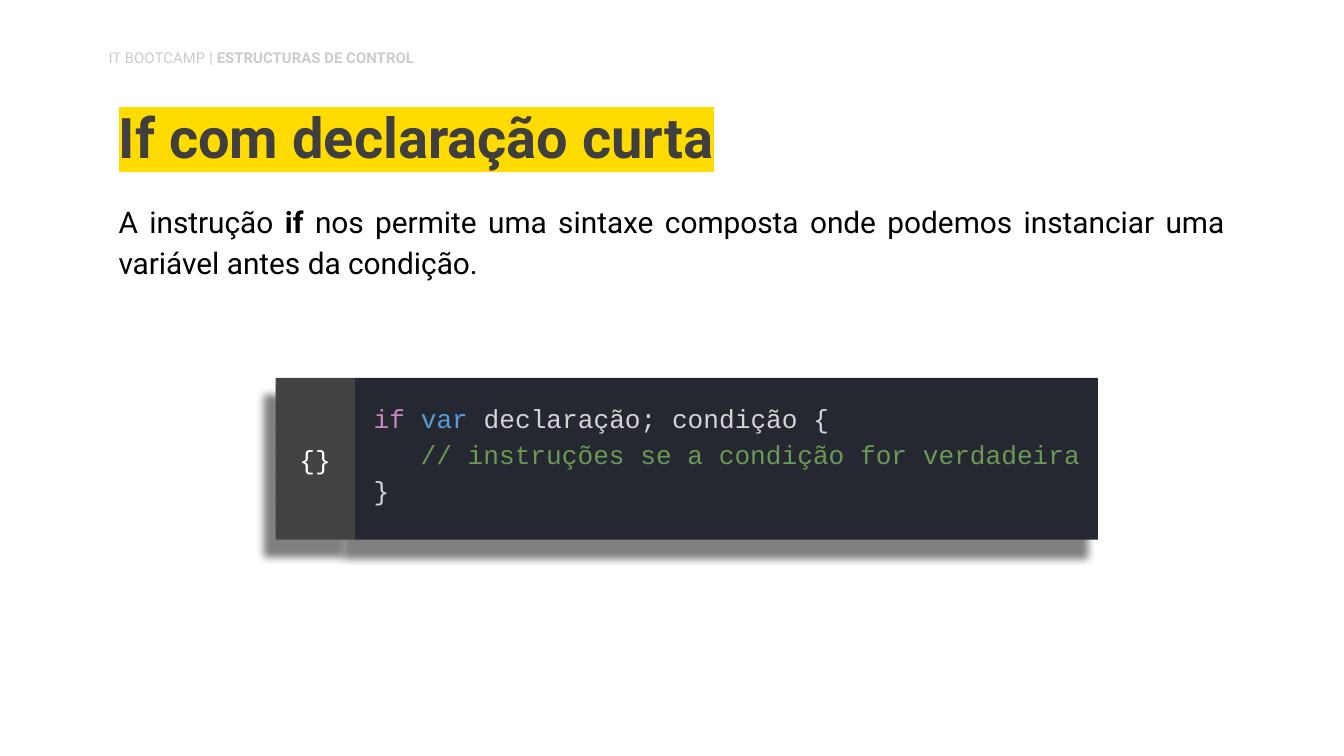
from lxml import etree
from pptx import Presentation, util as u
from pptx.dml.color import RGBColor
from pptx.enum import shapes, text
from pptx.oxml.ns import qn

WIDTH = u.Inches(10)
HEIGHT = WIDTH * 9 // 16
LEFT = 0.0784  # text margin and width, as shares of the slide's width
SPAN = 0.843


def color(value):
    return RGBColor.from_string(value)


def write(box, paras, font, size, *, insets=(0.1, 0.1, 0.1, 0.1), anchor="TOP",
          align="LEFT", spacing=1.0, after=0, highlight=None):
    """Fill a box; each paragraph is a list of (text, colour, bold) spans."""
    frame = box.text_frame
    frame.word_wrap = True
    frame.auto_size = text.MSO_AUTO_SIZE.NONE
    frame.vertical_anchor = text.MSO_ANCHOR[anchor]
    (frame.margin_left, frame.margin_top,
     frame.margin_right, frame.margin_bottom) = map(u.Inches, insets)
    for number, spans in enumerate(paras):
        para = frame.add_paragraph() if number else frame.paragraphs[0]
        para.alignment = text.PP_ALIGN[align]
        para.line_spacing = spacing
        para.space_before, para.space_after = u.Pt(0), u.Pt(after)
        for words, ink, bold in spans:
            span = para.add_run()
            span.text = words
            span.font.name, span.font.size, span.font.bold = font, u.Pt(size), bold
            span.font.color.rgb = color(ink)
            if highlight:
                mark = etree.Element(qn("a:highlight"))
                etree.SubElement(mark, qn("a:srgbClr"), val=highlight)
                span.font._element.find(qn("a:solidFill")).addnext(mark)


deck = Presentation()
deck.slide_width, deck.slide_height = WIDTH, HEIGHT
page = deck.slides.add_slide(deck.slide_layouts[5])

# Explanation
body = page.shapes.add_textbox(
    int(LEFT * WIDTH), int(0.244 * HEIGHT), int(SPAN * WIDTH), int(0.214 * HEIGHT))
write(body, [[
    ("A instrução ", "000000", False),
    ("if ", "000000", True),
    ("nos permite uma sintaxe composta onde podemos instanciar uma "
     "variável antes da condição.", "000000", False),
]], "Roboto", 16, align="JUSTIFY", spacing=1.15, highlight="FFFFFF")

# Title
title = page.shapes.title
title.left, title.top = int(LEFT * WIDTH), int(0.121 * HEIGHT)
title.width, title.height = int(SPAN * WIDTH), int(0.123 * HEIGHT)
write(title, [[("If com declaração curta", "3F3F3F", True)]], "Roboto", 30,
      anchor="BOTTOM", spacing=0.9, highlight="FFDB00")

# Code block: listing and icon panel side by side, each with a shadow
block = page.shapes.add_group_shape()
panels = []
for left, width, fill in ((0.264, 0.553, "262831"), (0.205, 0.059, "434343")):
    panel = block.shapes.add_shape(
        shapes.MSO_SHAPE.RECTANGLE, int(left * WIDTH), int(0.5 * HEIGHT),
        int(width * WIDTH), int(0.214 * HEIGHT))
    panel.fill.solid()
    panel.fill.fore_color.rgb = color(fill)
    panel.line.fill.background()
    panel.shadow.inherit = False
    shadow = etree.SubElement(
        panel._element.spPr.find(qn("a:effectLst")), qn("a:outerShdw"),
        blurRad=str(u.Pt(4.5)), dist=str(u.Pt(11.2)), dir=str(125 * 60000),
        algn="bl", rotWithShape="0")
    black = etree.SubElement(shadow, qn("a:srgbClr"), val="000000")
    etree.SubElement(black, qn("a:alpha"), val="50000")
    panels.append(panel)

listing, icon = panels
write(listing, [
    [("if ", "C586C0", False), ("var ", "569CD6", False),
     ("declaração; condição {", "D4D4D4", False)],
    [("// instruções se a condição for verdadeira", "6A9955", False)],
    [("}", "D4D4D4", False)],
], "Courier New", 14, insets=(0.14, 0, 0.1, 0.1), anchor="MIDDLE", spacing=1.15)
comment = listing.text_frame.paragraphs[1]
comment._p.get_or_add_pPr().set("marL", str(u.Inches(0.35)))  # three characters
write(icon, [[("{}", "FFFFFF", False)]], "Courier New", 14,
      anchor="MIDDLE", align="CENTER")

# Running header
header = page.shapes.add_textbox(
    int(0.071 * WIDTH), int(0.055 * HEIGHT), int(0.314 * WIDTH), int(0.048 * HEIGHT))
write(header, [[("IT BOOTCAMP", "CCCCCC", False),
                (" | ESTRUCTURAS DE CONTROL", "CCCCCC", True)]],
      "Roboto", 8, insets=(0.1, 0.05, 0.1, 0.05), after=12)

deck.save("out.pptx")
